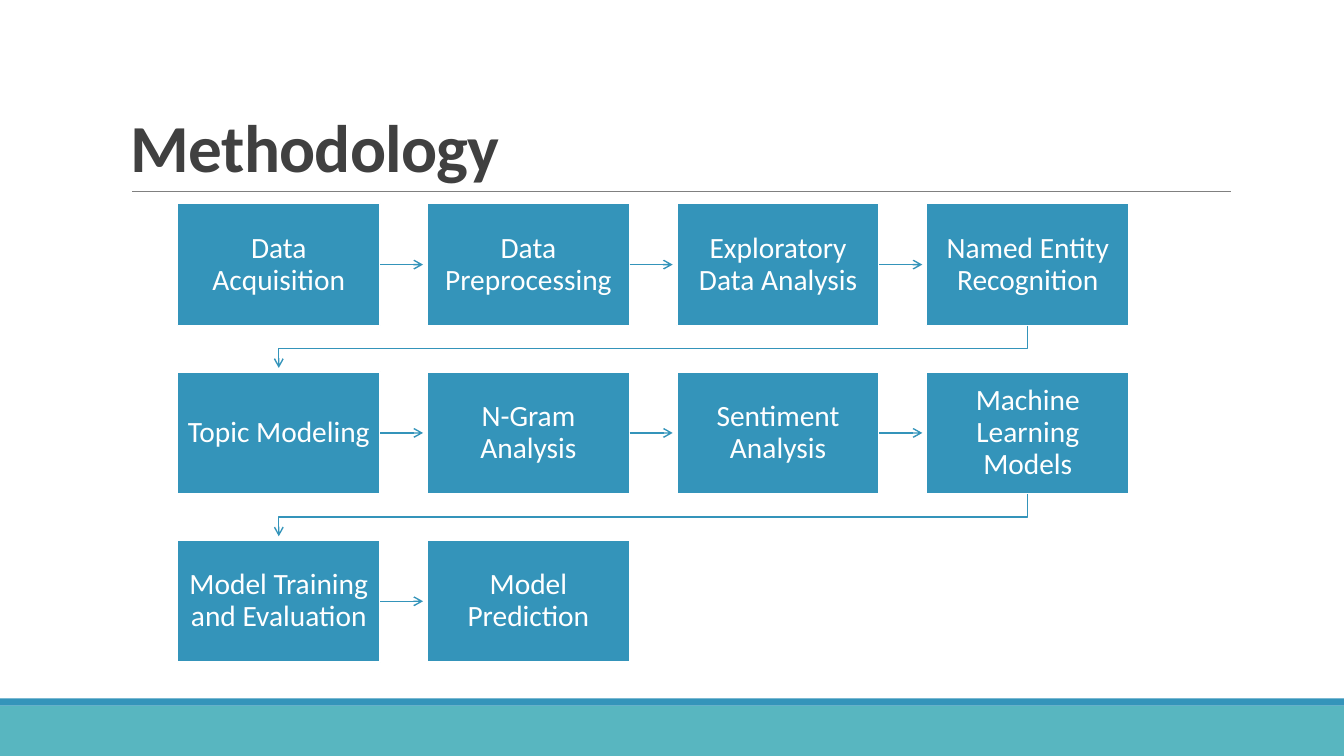
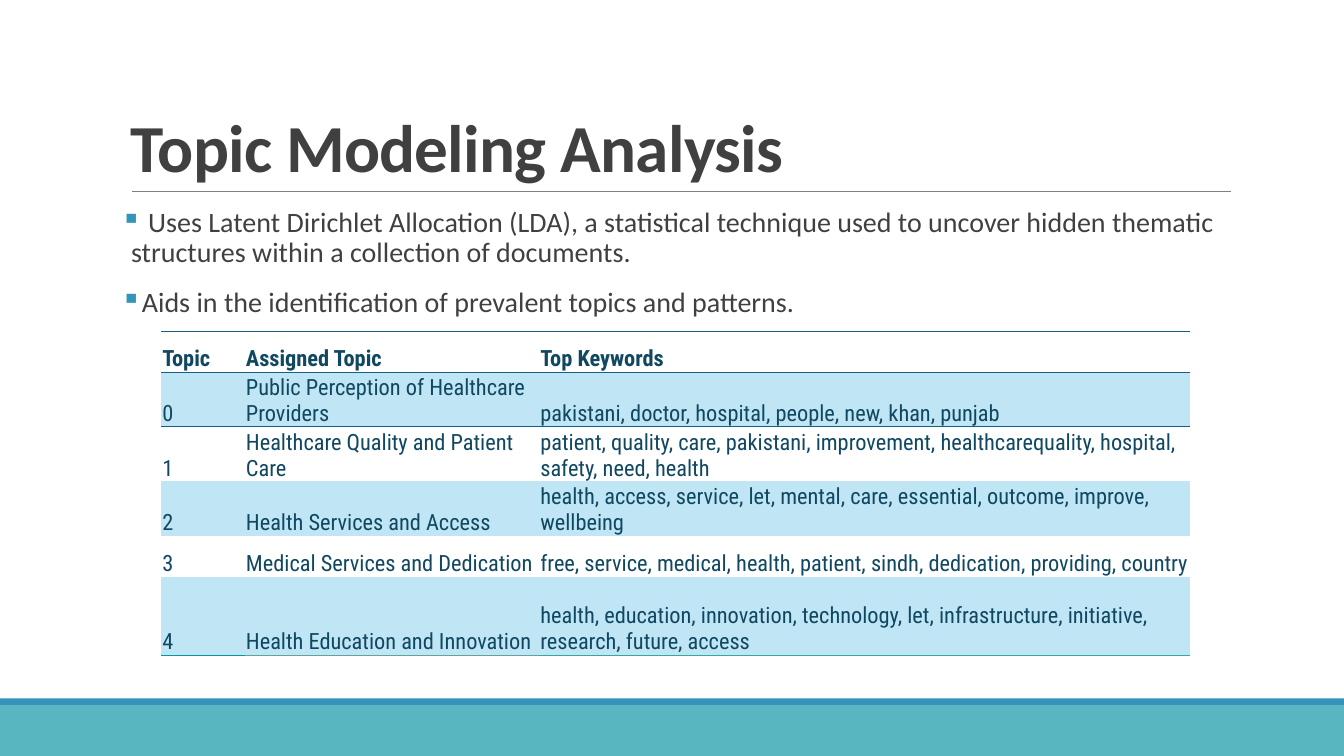
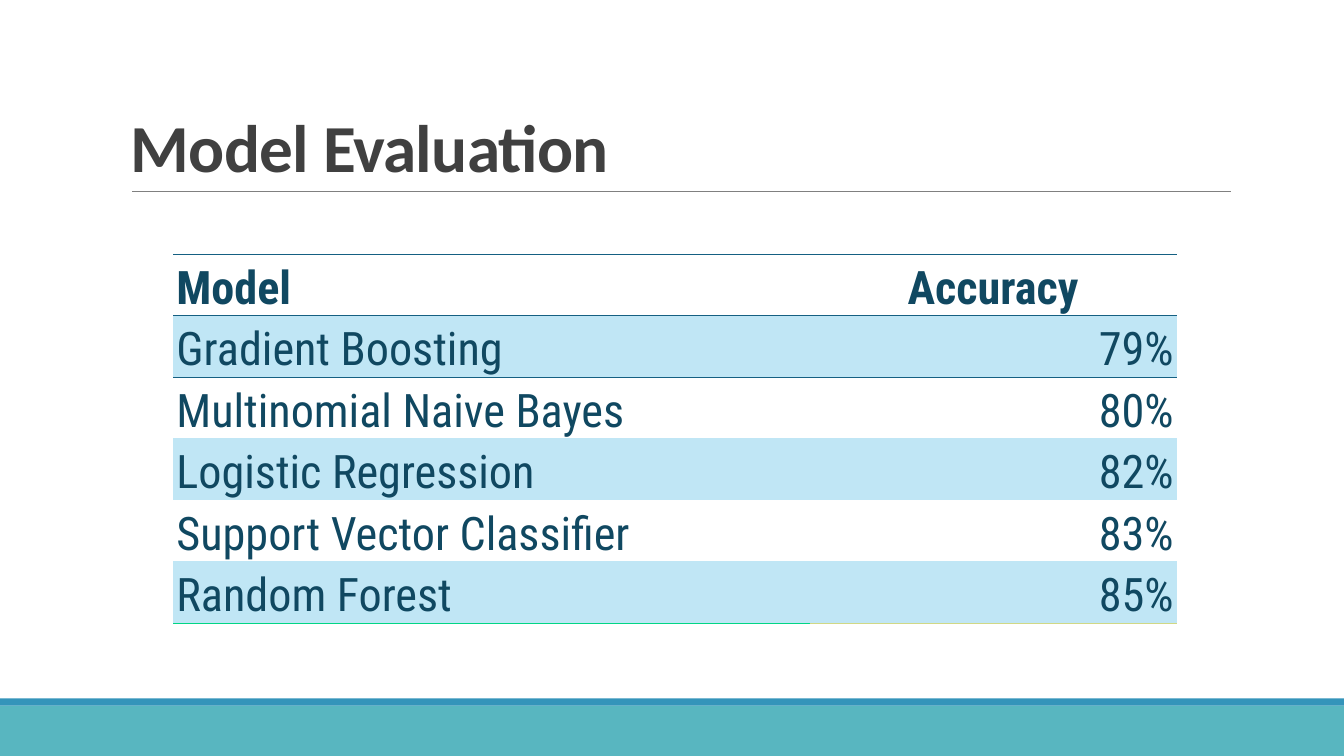
from lxml import etree
from pptx import Presentation
from pptx import util as u
from pptx.dml.color import RGBColor
from pptx.enum import shapes, text
from pptx.oxml import ns

Inches, Pt = u.Inches, u.Pt

BLUE = RGBColor(0x34, 0x94, 0xBA)
TEAL = RGBColor(0x58, 0xB6, 0xC0)
GREY = RGBColor(0x80, 0x80, 0x80)
DARK = RGBColor(0x40, 0x40, 0x40)
WHITE = RGBColor(0xFF, 0xFF, 0xFF)
NAVY = RGBColor(0x10, 0x48, 0x61)
RULE = RGBColor(0x15, 0x60, 0x82)
PALE = RGBColor(0xC0, 0xE6, 0xF5)
SLIDE_W, SLIDE_H = 13.33, 7.5
BODY_FONT, TABLE_FONT = "Calibri", "Roboto Condensed"
PLAIN_TABLE = "{2D5ABB26-0587-4C30-8999-92F81FD0307C}"
LEFT, CENTER, RIGHT = text.PP_ALIGN.LEFT, text.PP_ALIGN.CENTER, text.PP_ALIGN.RIGHT


# Shared helpers
def child(parent, tag, **attributes):
    return etree.SubElement(parent, ns.qn(tag), attributes)


def style_font(para, name, size, color, bold=False):
    font = para.font
    font.name, font.size, font.bold = name, Pt(size), bold
    font.color.rgb = color


def add_box(page, left, top, width, height, fill):
    box = page.shapes.add_shape(shapes.MSO_SHAPE.RECTANGLE, Inches(left),
                                Inches(top), Inches(width), Inches(height))
    box.shadow.inherit = False
    box.fill.solid()
    box.fill.fore_color.rgb = fill
    box.line.fill.background()
    return box


def add_line(page, x1, y1, x2, y2, color, width):
    line = page.shapes.add_connector(shapes.MSO_CONNECTOR.STRAIGHT, Inches(x1),
                                     Inches(y1), Inches(x2), Inches(y2))
    line.line.color.rgb = color
    line.line.width = Pt(width)
    child(line._element.spPr, "a:effectLst")
    return line


def add_arrowhead(line):
    child(line.line._get_or_add_ln(), "a:tailEnd", type="arrow")


def add_text_box(page, left, top, width, height):
    box = page.shapes.add_textbox(Inches(left), Inches(top), Inches(width), Inches(height))
    box.text_frame.word_wrap = True
    return box.text_frame


def add_page(deck, title):
    """Blank page with footer bands, title and the rule under it."""
    page = deck.slides.add_slide(deck.slide_layouts[6])
    add_box(page, 0, 7, SLIDE_W, 0.5, TEAL)
    add_box(page, 0, 6.93, SLIDE_W, 0.07, BLUE)
    add_line(page, 1.31, 1.9, 12.21, 1.9, GREY, 0.5)
    frame = add_text_box(page, 1.2, 0.31, 11, 1.59)
    frame.vertical_anchor = text.MSO_ANCHOR.BOTTOM
    para = frame.paragraphs[0]
    para.text = title
    para.line_spacing = 0.85
    style_font(para, BODY_FONT, 48, DARK, bold=True)
    para.runs[0]._r.get_or_add_rPr().set("spc", "-50")
    return page


# Flow of steps, read row by row
def add_step(page, left, top, width, height, label):
    box = add_box(page, left, top, width, height, BLUE)
    box.line.color.rgb = WHITE
    box.line.width = Pt(1.25)
    frame = box.text_frame
    frame.word_wrap = True
    frame.vertical_anchor = text.MSO_ANCHOR.MIDDLE
    frame.margin_left = frame.margin_right = Inches(0.1)
    frame.margin_top = frame.margin_bottom = Inches(0.1)
    para = frame.paragraphs[0]
    para.text = label
    para.alignment = CENTER
    para.line_spacing = 0.9
    style_font(para, BODY_FONT, 21, WHITE)
    return box


def add_return_arrow(page, x1, y1, x2, y2):
    """Bent arrow from the end of one row to the start of the next."""
    bend = y1 + 0.23
    builder = page.shapes.build_freeform(Inches(x1), Inches(y1))
    builder.add_line_segments([(Inches(x), Inches(y)) for x, y in
                               ((x1, bend), (x2, bend), (x2, y2))], close=False)
    arrow = builder.convert_to_shape()
    arrow.shadow.inherit = False
    arrow.fill.background()
    arrow.line.color.rgb = BLUE
    arrow.line.width = Pt(1)
    add_arrowhead(arrow)


def add_flow(page, left, top, labels, columns=4):
    width, height, step_x, step_y, gap = 2.01, 1.21, 2.476, 1.67, 0.04
    for index, label in enumerate(labels):
        row, column = divmod(index, columns)
        x, y = left + column * step_x, top + row * step_y
        box = add_step(page, x, y, width, height, label)
        if index == len(labels) - 1:
            break
        if column < columns - 1:
            middle = y + height / 2
            arrow = add_line(page, x + width, middle, x + step_x - gap, middle, BLUE, 1)
            arrow.begin_connect(box, 3)
            add_arrowhead(arrow)
        else:
            add_return_arrow(page, x + width / 2, y + height,
                             left + width / 2, y + step_y - gap)


# Bulleted text
def add_bullets(page, left, top, width, height, lines):
    frame = add_text_box(page, left, top, width, height)
    frame.margin_left = frame.margin_right = 0
    for index, line in enumerate(lines):
        para = frame.add_paragraph() if index else frame.paragraphs[0]
        para.text = line
        para.line_spacing = 0.9
        para.space_before, para.space_after = Pt(12), Pt(2)
        props = para._p.get_or_add_pPr()
        props.set("marL", str(Inches(0.1)))
        props.set("indent", str(-Inches(0.1)))
        child(child(props, "a:buClr"), "a:srgbClr", val=str(BLUE))
        child(props, "a:buChar", char="▪")
        style_font(para, BODY_FONT, 20, DARK)


# Tables
def add_border(cell, tag, color):
    line = child(cell._tc.get_or_add_tcPr(), tag, w=str(Pt(0.5)))
    child(child(line, "a:solidFill"), "a:srgbClr", val=str(color))


def add_banded_table(page, left, top, widths, heights, rows, size, margin,
                     header_aligns, body_aligns, last_colors):
    frame = page.shapes.add_table(len(rows), len(widths), Inches(left), Inches(top),
                                  Inches(sum(widths)), Inches(sum(heights)))
    table = frame.table
    table._tbl.tblPr.find(ns.qn("a:tableStyleId")).text = PLAIN_TABLE
    for column, width in zip(table.columns, widths):
        column.width = Inches(width)
    for row, height in zip(table.rows, heights):
        row.height = Inches(height)
    for r, row in enumerate(rows):
        for c, value in enumerate(row):
            cell = table.cell(r, c)
            cell.vertical_anchor = text.MSO_ANCHOR.BOTTOM
            cell.margin_left = cell.margin_right = cell.margin_top = Inches(margin)
            cell.margin_bottom = 0
            if r <= 1:
                add_border(cell, "a:lnT", RULE)
            if r == 0:
                add_border(cell, "a:lnB", RULE)
            elif r == len(rows) - 1:
                add_border(cell, "a:lnB", last_colors[c])
            if r % 2:
                cell.fill.solid()
                cell.fill.fore_color.rgb = PALE
            else:
                cell.fill.background()
            para = cell.text_frame.paragraphs[0]
            para.text = value
            para.alignment = (body_aligns if r else header_aligns)[c]
            style_font(para, TABLE_FONT, size, NAVY, bold=r == 0)


# Pages
def build_methodology(deck):
    page = add_page(deck, "Methodology")
    add_flow(page, 1.76, 2.02, [
        "Data Acquisition", "Data Preprocessing", "Exploratory Data Analysis",
        "Named Entity Recognition", "Topic Modeling", "N-Gram Analysis",
        "Sentiment Analysis", "Machine Learning Models",
        "Model Training and Evaluation", "Model Prediction"])


def build_topics(deck):
    page = add_page(deck, "Topic Modeling Analysis")
    add_bullets(page, 1.2, 2.02, 11, 4.4, [
        " Uses Latent Dirichlet Allocation (LDA), a statistical technique used to "
        "uncover hidden thematic structures within a collection of documents.",
        "Aids in the identification of prevalent topics and patterns."])
    rows = [
        ("Topic", "Assigned Topic", "Top Keywords"),
        ("0", "Public Perception of Healthcare Providers",
         "pakistani, doctor, hospital, people, new, khan, punjab"),
        ("1", "Healthcare Quality and Patient Care",
         "patient, quality, care, pakistani, improvement, healthcarequality, "
         "hospital, safety, need, health"),
        ("2", "Health Services and Access",
         "health, access, service, let, mental, care, essential, outcome, "
         "improve, wellbeing"),
        ("3", "Medical Services and Dedication",
         "free, service, medical, health, patient, sindh, dedication, "
         "providing, country"),
        ("4", "Health Education and Innovation",
         "health, education, innovation, technology, let, infrastructure, "
         "initiative, research, future, access"),
    ]
    last_colors = [RGBColor.from_string(c) for c in ("009C9C", "60A59C", "30AB9C")]
    add_banded_table(page, 1.6, 3.29, [0.83, 2.92, 6.45], [0.4] * 5 + [0.78], rows,
                     16, 0.01, [LEFT] * 3, [LEFT] * 3, last_colors)


def build_evaluation(deck):
    page = add_page(deck, "Model Evaluation")
    rows = [
        ("Model", "Accuracy"),
        ("Gradient Boosting", "79%"),
        ("Multinomial Naive Bayes", "80%"),
        ("Logistic Regression", "82%"),
        ("Support Vector Classifier", "83%"),
        ("Random Forest", "85%"),
    ]
    last_colors = [RGBColor.from_string(c) for c in ("00D685", "D0D885")]
    add_banded_table(page, 1.72, 2.52, [6.31, 3.64], [0.61] * 6, rows,
                     33, 0.03, [LEFT, CENTER], [LEFT, RIGHT], last_colors)


def main():
    deck = Presentation()
    deck.slide_width, deck.slide_height = Inches(SLIDE_W), Inches(SLIDE_H)
    build_methodology(deck)
    build_topics(deck)
    build_evaluation(deck)
    deck.save("out.pptx")


if __name__ == "__main__":
    main()
